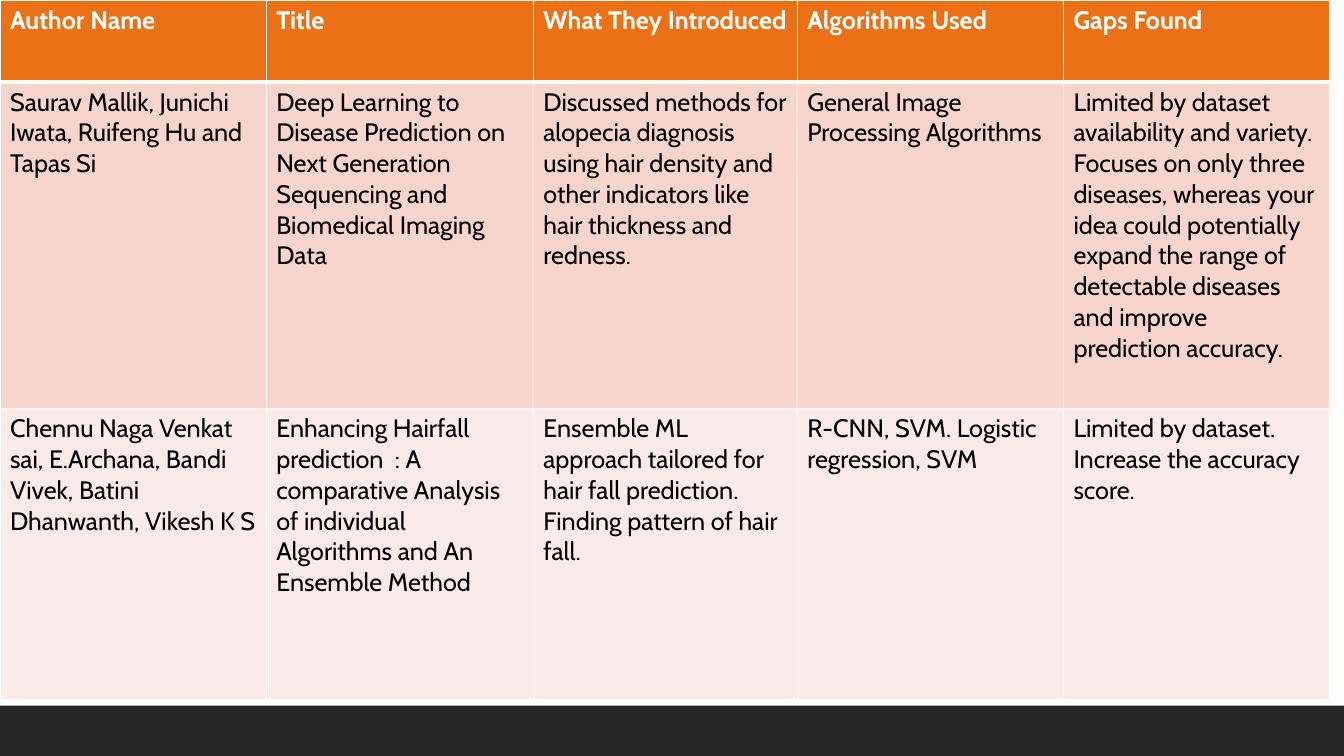
"""Build a literature survey slide with a table above a dark footer band."""
import pptx
import pptx.dml.color
import pptx.enum.shapes
import pptx.oxml.ns
import pptx.util
from lxml import etree

Cm = pptx.util.Cm
Pt = pptx.util.Pt

SLIDE_WIDTH, SLIDE_HEIGHT = 33.87, 19.05
FOOTER_HEIGHT = 1.27
COLUMN_WIDTHS = [6.71, 6.73, 6.65, 6.71, 6.71]
ROW_HEIGHTS = [2.06, 8.23, 7.35]
ROW_FILLS = ["EC7016", "F8D5CC", "FBEBE8"]

SURVEY = [
    ["Author Name", "Title", "What They Introduced", "Algorithms Used", "Gaps Found"],
    [
        "Saurav Mallik, Junichi Iwata, Ruifeng Hu and Tapas Si",
        "Deep Learning to Disease Prediction on Next Generation Sequencing "
        "and Biomedical Imaging Data",
        "Discussed methods for alopecia diagnosis using hair density and other "
        "indicators like hair thickness and redness.",
        "General Image Processing Algorithms",
        "Limited by dataset availability and variety. Focuses on only three diseases, "
        "whereas your idea could potentially expand the range of detectable diseases "
        "and improve prediction accuracy.",
    ],
    [
        "Chennu Naga Venkat sai, E.Archana, Bandi Vivek, Batini Dhanwanth, Vikesh K S",
        "Enhancing Hairfall prediction  : A comparative Analysis of individual "
        "Algorithms and An Ensemble Method",
        "Ensemble ML approach tailored for hair fall prediction. "
        "Finding pattern of hair fall.",
        "R-CNN, SVM. Logistic regression, SVM",
        "Limited by dataset. Increase the accuracy score.",
    ],
]


def color(hex_code):
    return pptx.dml.color.RGBColor.from_string(hex_code)


class SurveySlide:
    font = "Cabin"
    size = 18
    rule = "FFFFFF"
    thin, thick = 1, 3

    def __init__(self, presentation):
        self.slide = presentation.slides.add_slide(presentation.slide_layouts[6])

    def band(self, left, top, width, height, fill):
        band = self.slide.shapes.add_shape(
            pptx.enum.shapes.MSO_SHAPE.RECTANGLE,
            Cm(left), Cm(top), Cm(width), Cm(height))
        band.shadow.inherit = False
        band.fill.solid()
        band.fill.fore_color.rgb = color(fill)
        band.line.fill.background()

    def table(self, left, top, widths, heights, fills, rows):
        table = self.slide.shapes.add_table(
            len(heights), len(widths), Cm(left), Cm(top),
            Cm(sum(widths)), Cm(sum(heights))).table
        for column, width in zip(table.columns, widths):
            column.width = Cm(width)
        for index, (height, fill, texts) in enumerate(zip(heights, fills, rows)):
            table.rows[index].height = Cm(height)
            for column, text in enumerate(texts):
                self.cell(table.cell(index, column), text, fill, index)

    def cell(self, cell, text, fill, row):
        header = row == 0
        self.borders(cell, {
            "L": self.thin,
            "R": self.thin,
            "T": self.thick if row == 1 else self.thin,
            "B": self.thick if header else self.thin,
        })
        cell.fill.solid()
        cell.fill.fore_color.rgb = color(fill)
        run = cell.text_frame.paragraphs[0].add_run()
        run.text = text
        run.font.name = self.font
        run.font.size = Pt(self.size)
        run.font.bold = header
        run.font.color.rgb = color("FFFFFF" if header else "000000")

    def borders(self, cell, widths):
        qn = pptx.oxml.ns.qn
        properties = cell._tc.get_or_add_tcPr()
        for side, width in widths.items():
            line = etree.SubElement(properties, qn(f"a:ln{side}"), w=str(Pt(width)))
            paint = etree.SubElement(line, qn("a:solidFill"))
            etree.SubElement(paint, qn("a:srgbClr"), val=self.rule)


def main():
    presentation = pptx.Presentation()
    presentation.slide_width = Cm(SLIDE_WIDTH)
    presentation.slide_height = Cm(SLIDE_HEIGHT)
    survey = SurveySlide(presentation)
    survey.band(0, SLIDE_HEIGHT - FOOTER_HEIGHT, SLIDE_WIDTH, FOOTER_HEIGHT, "262626")
    survey.table(0, 0, COLUMN_WIDTHS, ROW_HEIGHTS, ROW_FILLS, SURVEY)
    presentation.save("out.pptx")


if __name__ == "__main__":
    main()
